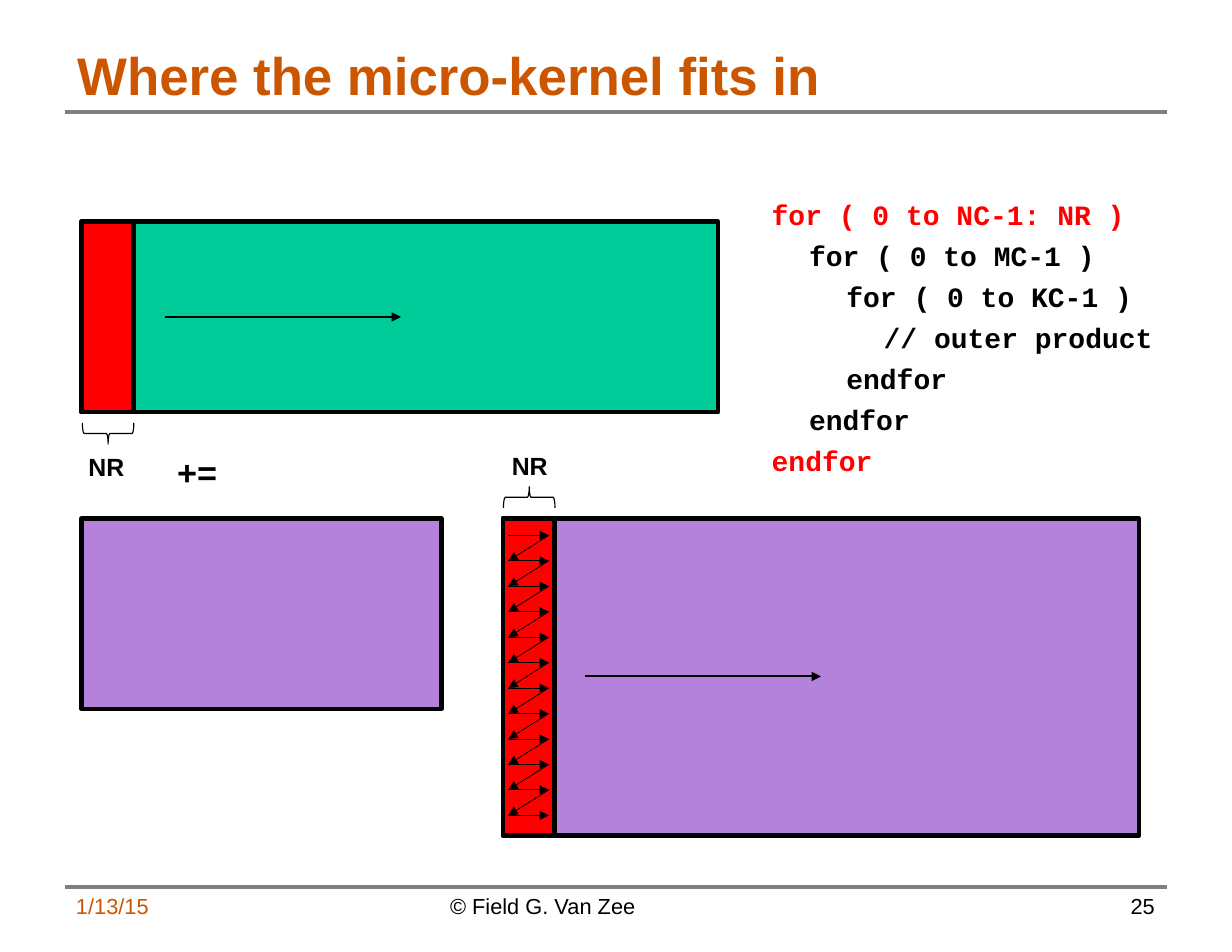
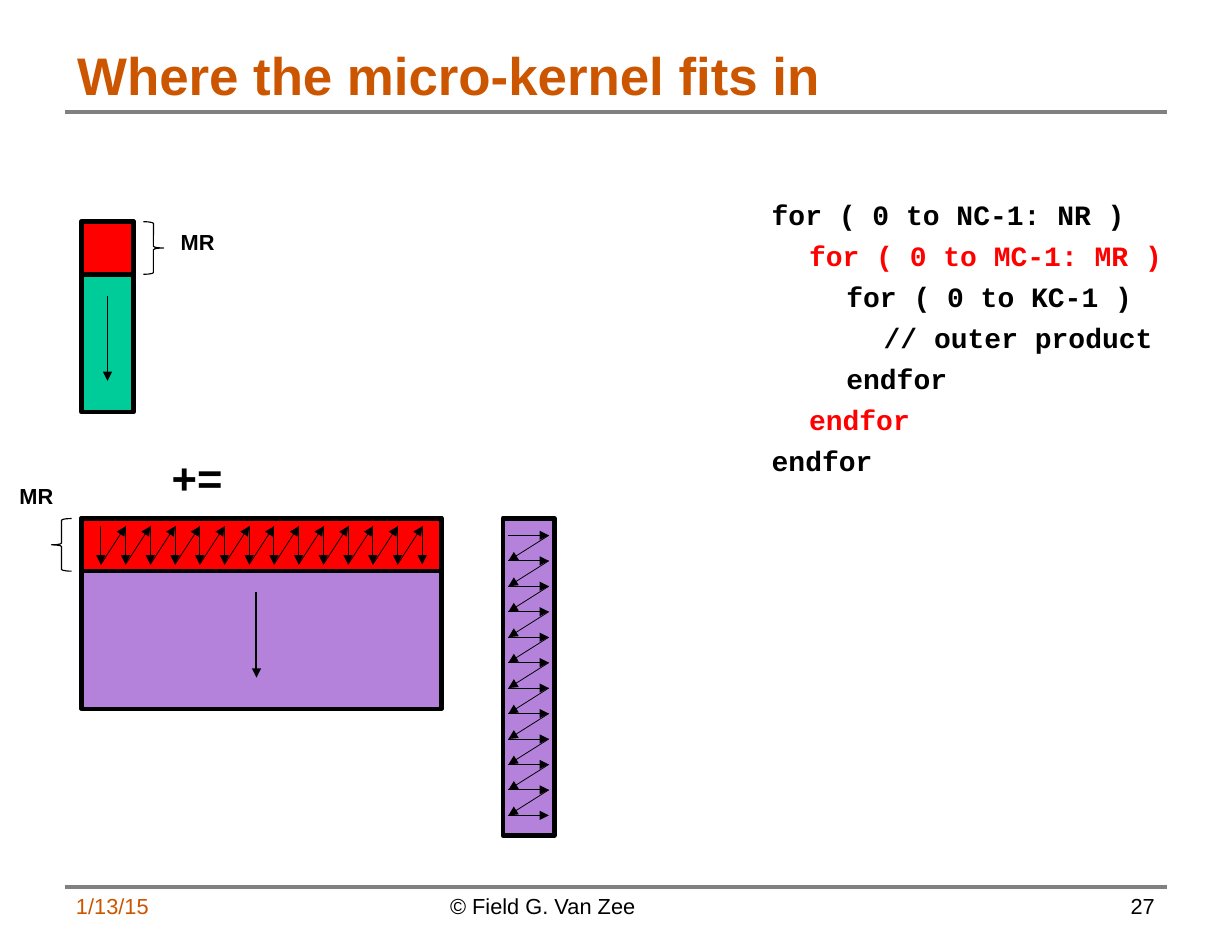
from dataclasses import dataclass

from pptx import Presentation
from pptx.dml.color import RGBColor
from pptx.enum.shapes import MSO_CONNECTOR, MSO_SHAPE as SHAPE
from pptx.enum.text import MSO_ANCHOR as ANCHOR, PP_ALIGN as ALIGN
from pptx.oxml.ns import qn
from pptx.util import Inches, Pt
from lxml.etree import SubElement


@dataclass(frozen=True)
class Theme:
    accent: str = "CC5500"
    rule: str = "808080"
    ink: str = "000000"
    active: str = "FF0000"
    result: str = "00CC99"
    operand: str = "B482DA"
    sans: str = "Arial"
    mono: str = "Courier New"
    title_size: int = 34
    code_size: int = 18
    footer_size: int = 14
    rule_width: float = 2.25
    block_width: float = 3
    arrow_width: float = 1.25
    stroke_width: float = 0.5
    brace_width: float = 0.75


THEME = Theme()
LOOP_CODE = ["for ( 0 to NC-1: NR )", "for ( 0 to MC-1 )", "for ( 0 to KC-1 )",
             "// outer product", "endfor", "endfor", "endfor"]
CODE_LEVELS = [0, 1, 2, 3, 2, 1, 0]

# Geometry shared by the matrix diagrams
LEFT, RIGHT = 0.73, 4.49
TOP, BOTTOM = 1.98, 4.63
SHORT, TALL = 1.7, 2.83
NARROW, MIDDLE, WIDE = 0.46, 3.21, 5.68
MR_HEIGHT = 0.47


def rgb(color):
    return RGBColor.from_string(color)


class Deck:
    def __init__(self, theme):
        self.theme = theme
        self.prs = Presentation()
        self.prs.slide_width, self.prs.slide_height = Inches(11), Inches(8.5)
        self.s = None

    def new_slide(self, title, number):
        t = self.theme
        self.s = self.prs.slides.add_slide(self.prs.slide_layouts[6])
        for y in (1, 7.92):
            self.line((0.58, y), (10.42, y), t.rule_width, t.rule, head=False)
        self.text((0.58, 0.33, 9.83, 0.67), [title], t.title_size, t.accent,
                  bold=True, anchor=ANCHOR.MIDDLE)
        footers = [(0.58, 2.58, "1/13/15", t.accent, ALIGN.LEFT),
                   (3.92, 3.17, "© Field G. Van Zee", t.ink, ALIGN.LEFT),
                   (7.83, 2.58, str(number), t.ink, ALIGN.RIGHT)]
        for x, width, words, color, align in footers:
            self.text((x, 7.92, width, 0.52), [words], t.footer_size, color,
                      align=align, inset=(0.1, 0.05))

    def text(self, box, lines, size, color=None, bold=False, font=None, wrap=True,
             align=ALIGN.LEFT, anchor=ANCHOR.TOP, inset=(0.11, 0.06)):
        tf = self.s.shapes.add_textbox(*map(Inches, box)).text_frame
        dx, dy = map(Inches, inset)
        frame = dict(word_wrap=wrap, vertical_anchor=anchor, margin_left=dx,
                     margin_right=dx, margin_top=dy, margin_bottom=dy)
        for name, value in frame.items():
            setattr(tf, name, value)
        for i, words in enumerate(lines):
            p = tf.add_paragraph() if i else tf.paragraphs[0]
            p.alignment = align
            r = p.add_run()
            r.text = words
            style = dict(name=font or self.theme.sans, size=Pt(size), bold=bold)
            for name, value in style.items():
                setattr(r.font, name, value)
            r.font.color.rgb = rgb(color or self.theme.ink)
        return tf

    def label(self, box, words, size):
        self.text(box, [words], size, bold=True, wrap=False, align=ALIGN.CENTER)

    def code(self, lines, active):
        """Indented loop nest; the lines whose indexes are in active stand out."""
        t = self.theme
        tf = self.text((6.78, 1.7, 4.22, 2.64), lines, t.code_size, bold=True, font=t.mono)
        for i, (p, level) in enumerate(zip(tf.paragraphs, CODE_LEVELS)):
            p.space_before = Pt(4.8)
            p._p.get_or_add_pPr().set("marL", str(Inches(level / 3)))
            p._p.get_or_add_pPr().set("indent", "0")
            if i in active:
                p.runs[0].font.color.rgb = rgb(t.active)

    def shape(self, kind, box, width, fill=None):
        sp = self.s.shapes.add_shape(kind, *map(Inches, box))
        sp.shadow.inherit = False
        if fill:
            sp.fill.solid()
            sp.fill.fore_color.rgb = rgb(fill)
        else:
            sp.fill.background()
        sp.line.color.rgb = rgb(self.theme.ink)
        sp.line.width = Pt(width)
        return sp

    def block(self, x, y, width, height, fill):
        self.shape(SHAPE.RECTANGLE, (x, y, width, height), self.theme.block_width, fill)

    def brace(self, kind, box, rotation=0):
        self.shape(kind, box, self.theme.brace_width).rotation = rotation

    def line(self, start, end, width, color=None, head=True, parent=None):
        shapes = (parent or self.s).shapes
        c = shapes.add_connector(MSO_CONNECTOR.STRAIGHT, *map(Inches, (*start, *end)))
        c.line.color.rgb = rgb(color or self.theme.ink)
        c.line.width = Pt(width)
        if head:
            SubElement(c.line._get_or_add_ln(), qn("a:tailEnd"), type="triangle")
        SubElement(c._element.spPr, qn("a:effectLst"))

    def arrow(self, start, end):
        self.line(start, end, self.theme.arrow_width)

    def zigzag(self, start, stroke, step, count):
        """Draw count parallel strokes, each joined to the next by a return arrow."""
        group = self.s.shapes.add_group_shape()
        points = []
        for i in range(count):
            x, y = start[0] + i * step[0], start[1] + i * step[1]
            points += [(x, y), (x + stroke[0], y + stroke[1])]
        for a, b in zip(points, points[1:]):
            self.line(a, b, self.theme.stroke_width, parent=group)

    def row_scan(self):
        """Reading order within the narrow panel at the lower right."""
        self.zigzag((4.54, 4.78), (0.36, 0), (0, 2.5 / 11), 12)

    def column_scan(self):
        """Reading order within the top strip of the lower left block."""
        self.zigzag((0.9, 4.7), (0, 0.34), (2.87 / 13, 0), 14)


def column_panel_slide(deck):
    t = deck.theme
    deck.new_slide("Where the micro-kernel fits in", 25)
    deck.block(RIGHT, BOTTOM, WIDE, TALL, t.operand)
    deck.block(LEFT, BOTTOM, MIDDLE, SHORT, t.operand)
    deck.block(LEFT, TOP, WIDE, SHORT, t.result)
    deck.block(RIGHT, BOTTOM, NARROW, TALL, t.active)
    deck.block(LEFT, TOP, NARROW, SHORT, t.active)
    deck.label((1.47, 3.97, 0.58, 0.5), "+=", 22)
    deck.brace(SHAPE.LEFT_BRACE, (4.63, 4.21, 0.19, NARROW), 90)
    deck.label((4.45, 3.96, 0.56, 0.38), "NR", 16)
    deck.brace(SHAPE.RIGHT_BRACE, (0.87, 3.64, 0.19, NARROW), 90)
    deck.label((0.67, 3.97, 0.56, 0.38), "NR", 16)
    for x, y in ((1.47, 2.83), (5.22, 6.04)):
        deck.arrow((x, y), (x + 2.11, y))
    deck.row_scan()
    deck.code(LOOP_CODE, active=(0, 6))


def row_panel_slide(deck):
    t = deck.theme
    deck.new_slide("Where the micro-kernel fits in", 27)
    deck.block(RIGHT, BOTTOM, NARROW, TALL, t.operand)
    deck.block(LEFT, BOTTOM, MIDDLE, SHORT, t.operand)
    deck.block(LEFT, TOP, NARROW, SHORT, t.result)
    deck.block(LEFT, BOTTOM, MIDDLE, MR_HEIGHT, t.active)
    deck.block(LEFT, TOP, NARROW, MR_HEIGHT, t.active)
    deck.brace(SHAPE.RIGHT_BRACE, (1.28, TOP, 0.18, MR_HEIGHT))
    deck.label((1.5, 1.98, 0.53, 0.35), "MR", 14)
    deck.label((1.42, 3.97, 0.68, 0.58), "+=", 28)
    deck.label((0.06, 4.25, 0.53, 0.35), "MR", 14)
    deck.brace(SHAPE.LEFT_BRACE, (0.46, BOTTOM, 0.18, MR_HEIGHT))
    for x, y in ((0.96, 2.64), (2.29, 5.29)):
        deck.arrow((x, y), (x, y + 0.76))
    deck.column_scan()
    deck.row_scan()
    lines = list(LOOP_CODE)
    lines[1] = "for ( 0 to MC-1: MR )"
    deck.code(lines, active=(1, 5))


def main():
    deck = Deck(THEME)
    column_panel_slide(deck)
    row_panel_slide(deck)
    deck.prs.save("out.pptx")


if __name__ == "__main__":
    main()
